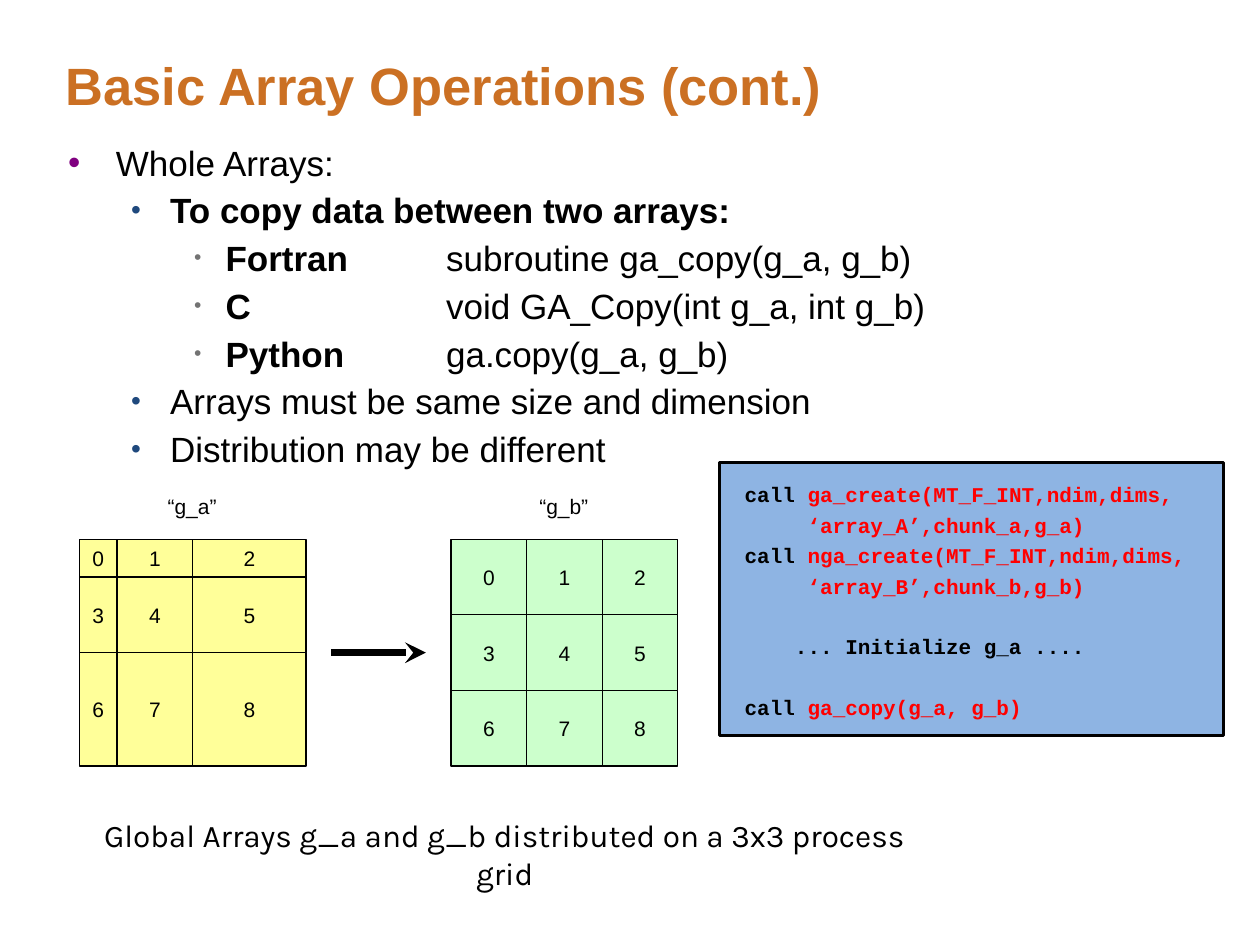
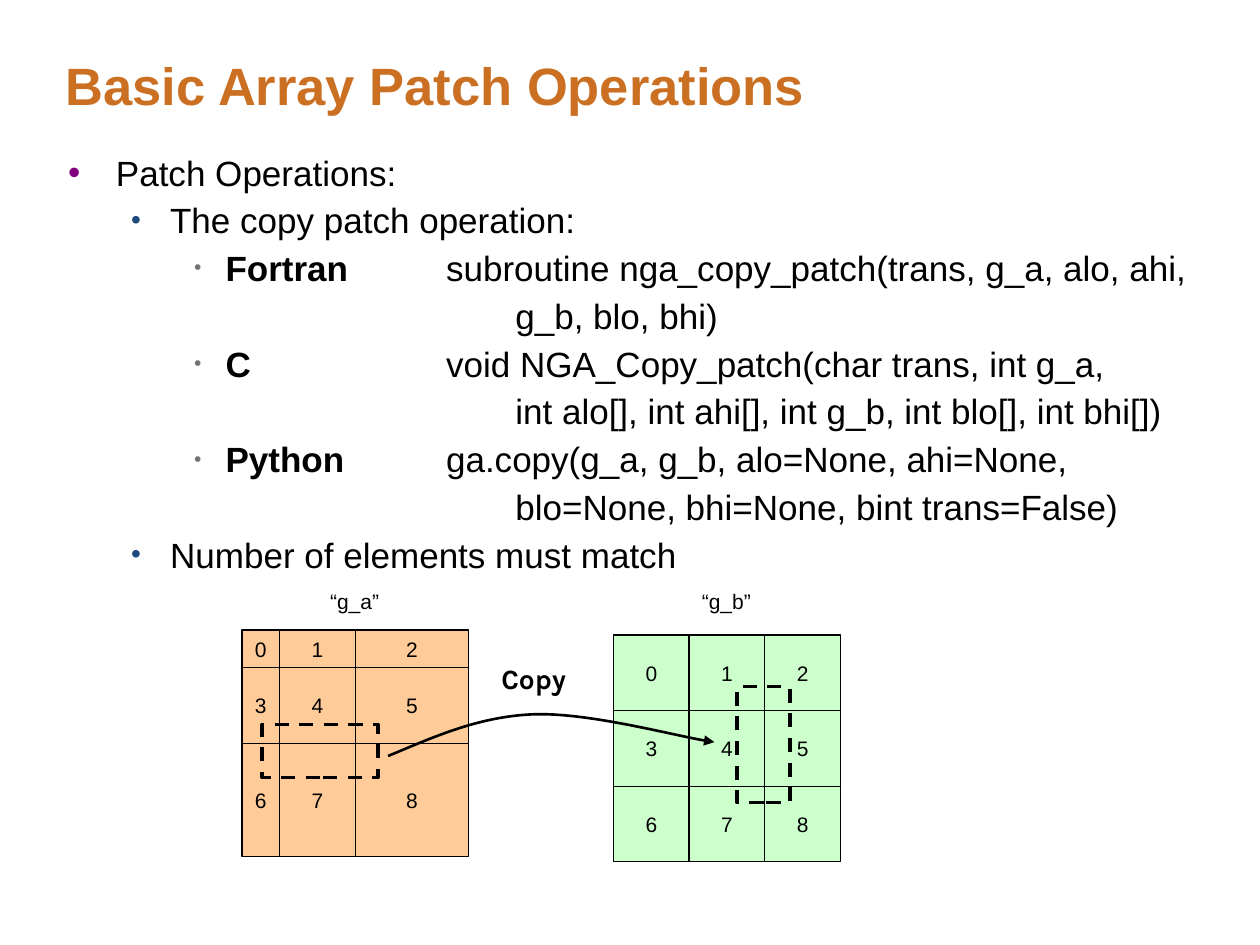
from lxml import etree
from pptx import Presentation
from pptx.dml.color import RGBColor
from pptx.enum.dml import MSO_LINE
from pptx.enum.shapes import MSO_CONNECTOR, MSO_SHAPE
from pptx.enum.text import MSO_ANCHOR, MSO_AUTO_SIZE, PP_ALIGN
from pptx.oxml.ns import qn
from pptx.util import Inches, Pt

RECTANGLE = MSO_SHAPE.RECTANGLE
STRAIGHT = MSO_CONNECTOR.STRAIGHT
DASH = MSO_LINE.DASH
CENTER, LEFT = PP_ALIGN.CENTER, PP_ALIGN.LEFT
TOP, MIDDLE = MSO_ANCHOR.TOP, MSO_ANCHOR.MIDDLE
NO_AUTOFIT = MSO_AUTO_SIZE.NONE

BLACK, RED, ORANGE = "000000", "FF0000", "CB7023"
YELLOW, GREEN, PEACH, BLUE = "FFFF99", "CCFFCC", "FFCC99", "8EB4E3"
TITLE_BOX = (0.52, 0.5, 8.97, 1.08)
CODE_INSETS = (0.2, 0.15, 0.2, 0.15)
LABEL_INSETS = (0.1, 0.05, 0.1, 0.05)
BULLETS = [
    (0.38, 0.38, "800080", 100),
    (0.81, 0.31, "1F497D", 80),
    (1.25, 0.25, "737373", 60),
]
SIGNATURE_TAB, CONTINUATION_INDENT = 3.0, 3.55
UNEVEN, EVEN = (0.3, 0.6, 0.9), (0.6, 0.6, 0.6)


def rgb(color):
    """Turn a hex string into a colour."""
    return RGBColor.from_string(color)


def inches(*lengths):
    """Convert several lengths in inches."""
    return [Inches(length) for length in lengths]


def add_run(paragraph, text, size, color=BLACK, bold=False, font="Arial"):
    """Append one formatted run."""
    run = paragraph.add_run()
    run.text = text
    run.font.name = font
    run.font.size = Pt(size)
    run.font.bold = bold
    run.font.color.rgb = rgb(color)


def set_frame(frame, insets=(0, 0, 0, 0), anchor=TOP, wrap=True):
    """Set the insets, anchor and wrapping of a text frame."""
    frame.margin_left, frame.margin_top, frame.margin_right, frame.margin_bottom = inches(*insets)
    frame.vertical_anchor = anchor
    frame.word_wrap = wrap
    frame.auto_size = NO_AUTOFIT


def next_paragraph(frame, index):
    """Return the first paragraph, or a new one after it."""
    return frame.add_paragraph() if index else frame.paragraphs[0]


def place(shape, box):
    """Move a placeholder to a box."""
    shape.left, shape.top, shape.width, shape.height = inches(*box)


def add_label(slide, box, text, size=12, font="Arial", bold=False, insets=LABEL_INSETS, wrap=True):
    """Add centred text in a box."""
    frame = slide.shapes.add_textbox(*inches(*box)).text_frame
    set_frame(frame, insets, wrap=wrap)
    frame.paragraphs[0].alignment = CENTER
    add_run(frame.paragraphs[0], text, size, bold=bold, font=font)


def add_box(shapes, box, fill=None, width=0.75):
    """Add a black-edged rectangle, filled or clear."""
    rectangle = shapes.add_shape(RECTANGLE, *inches(*box))
    rectangle.shadow.inherit = False
    if fill:
        rectangle.fill.solid()
        rectangle.fill.fore_color.rgb = rgb(fill)
    else:
        rectangle.fill.background()
    rectangle.line.color.rgb = rgb(BLACK)
    rectangle.line.width = Pt(width)
    return rectangle


def add_arrowhead(line, kind):
    """Put an arrowhead at the end of a line."""
    etree.SubElement(line.line._get_or_add_ln(), qn("a:tailEnd"), type=kind)


def set_bullet(paragraph, level, continued):
    """Set the indent, bullet and tab of a list level."""
    margin, hanging, color, percent = BULLETS[level]
    if continued:
        margin, hanging = CONTINUATION_INDENT, 0
    paragraph.level = level
    properties = paragraph._p.get_or_add_pPr()
    properties.set("marL", str(Inches(margin)))
    properties.set("indent", str(-Inches(hanging)))
    if continued:
        etree.SubElement(properties, qn("a:buNone"))
        return
    bullet_color = etree.SubElement(properties, qn("a:buClr"))
    etree.SubElement(bullet_color, qn("a:srgbClr"), val=color)
    etree.SubElement(properties, qn("a:buSzPct"), val=str(percent * 1000))
    etree.SubElement(properties, qn("a:buFont"), typeface="Arial")
    etree.SubElement(properties, qn("a:buChar"), char="•")
    if level == 2:
        tabs = etree.SubElement(properties, qn("a:tabLst"))
        etree.SubElement(tabs, qn("a:tab"), pos=str(Inches(SIGNATURE_TAB)), algn="l")


def fill_title(slide, text):
    """Write the slide title."""
    place(slide.shapes.title, TITLE_BOX)
    frame = slide.shapes.title.text_frame
    set_frame(frame)
    paragraph = frame.paragraphs[0]
    paragraph.alignment = LEFT
    paragraph.line_spacing = 0.85
    add_run(paragraph, text, 30, ORANGE, True)


def fill_body(slide, top, items):
    """Write the list from (level, bold text, plain text) items."""
    body = slide.placeholders[1]
    place(body, (0.54, top, 8.95, 3.91))
    set_frame(body.text_frame)
    for index, (level, strong, plain) in enumerate(items):
        paragraph = next_paragraph(body.text_frame, index)
        set_bullet(paragraph, level, level == 2 and not strong)
        paragraph.alignment = LEFT
        paragraph.line_spacing = 0.85
        paragraph.space_before = Pt(6.9 if index else 0)
        if strong:
            add_run(paragraph, strong, 20, bold=True)
        if plain:
            add_run(paragraph, plain, 20)


def add_array(slide, left, top, name, label_top, spans, fill, patch=None):
    """Draw a 3x3 process grid with its name and an optional dashed patch."""
    add_label(slide, (left + 0.56, label_top, 0.67, 0.3), name)
    grid = slide.shapes.add_group_shape().shapes
    for row, height in enumerate(spans):
        for column, width in enumerate(spans):
            cell_left, cell_top = left + sum(spans[:column]), top + sum(spans[:row])
            frame = add_box(grid, (cell_left, cell_top, width, height), fill).text_frame
            set_frame(frame, LABEL_INSETS, MIDDLE, False)
            frame.paragraphs[0].alignment = CENTER
            add_run(frame.paragraphs[0], str(3 * row + column), 12)
    if patch:
        across, down, width, height = patch
        add_box(grid, (left + across, top + down, width, height), width=2).line.dash_style = DASH


def add_code(slide, box, lines):
    """Draw the code panel from (gap before, black text, red text) lines."""
    frame = add_box(slide.shapes, box, BLUE, 1.5).text_frame
    set_frame(frame, CODE_INSETS)
    for index, (gap, keyword, call) in enumerate(lines):
        paragraph = next_paragraph(frame, index)
        paragraph.alignment = LEFT
        paragraph.space_before = Pt(gap)
        for text, color in ((keyword, BLACK), (call, RED)):
            if text:
                add_run(paragraph, text, 12, color, True, "Courier New")


def add_copy_arrow(slide, start, end):
    """Draw the straight arrow between the arrays."""
    arrow = slide.shapes.add_connector(STRAIGHT, *inches(*start, *end))
    arrow.line.color.rgb = rgb(BLACK)
    arrow.line.width = Pt(4)
    add_arrowhead(arrow, "stealth")
    etree.SubElement(arrow._element.spPr, qn("a:effectLst"))


def add_copy_curve(slide, left, top):
    """Draw the curved arrow between the patches."""
    points = [(0.36, 0.2), (0.71, 0.04), (1.14, 0.02), (1.57, 0), (2.35, 0.21), (2.59, 0.24)]
    builder = slide.shapes.build_freeform(*inches(left, top + 0.35))
    builder.add_line_segments([inches(left + x, top + y) for x, y in points], close=False)
    curve = builder.convert_to_shape()
    curve.shadow.inherit = False
    curve.fill.background()
    curve.line.color.rgb = rgb(BLACK)
    curve.line.width = Pt(1.5)
    add_arrowhead(curve, "triangle")
    outline = next(curve._element.iter(qn("a:path")))
    segments = outline.findall(qn("a:lnTo"))
    for first in range(0, len(segments), 3):
        bezier = etree.SubElement(outline, qn("a:cubicBezTo"))
        for segment in segments[first:first + 3]:
            bezier.append(segment[0])
            outline.remove(segment)


def build_whole_arrays(slide):
    """Build the slide on copying whole arrays."""
    fill_title(slide, "Basic Array Operations (cont.)")
    fill_body(slide, 1.17, [
        (0, "", "Whole Arrays:"),
        (1, "To copy data between two arrays:", ""),
        (2, "Fortran\t", "subroutine ga_copy(g_a, g_b)"),
        (2, "C\t", "void GA_Copy(int g_a, int g_b)"),
        (2, "Python\t", "ga.copy(g_a, g_b)"),
        (1, "", "Arrays must be same size and dimension"),
        (1, "", "Distribution may be different"),
    ])
    add_code(slide, (5.71, 3.67, 4, 2.17), [
        (0, "call ", "ga_create(MT_F_INT,ndim,dims,"),
        (3.2, "", "     ‘array_A’,chunk_a,g_a)"),
        (3.2, "call ", "nga_create(MT_F_INT,ndim,dims,"),
        (3.2, "", "     ‘array_B’,chunk_b,g_b)"),
        (20, "    ... Initialize g_a ....", ""),
        (20, "call ", "ga_copy(g_a, g_b)"),
    ])
    add_array(slide, 0.63, 4.28, "“g_a”", 3.87, UNEVEN, YELLOW)
    add_array(slide, 3.58, 4.28, "“g_b”", 3.87, EVEN, GREEN)
    add_copy_arrow(slide, (2.63, 5.18), (3.38, 5.18))
    add_label(slide, (0.49, 6.33, 7.03, 0.9),
              "Global Arrays g_a and g_b distributed on a 3x3 process grid",
              18, "Karla", insets=CODE_INSETS)


def build_patches(slide):
    """Build the slide on copying patches."""
    fill_title(slide, "Basic Array Patch Operations")
    fill_body(slide, 1.25, [
        (0, "", "Patch Operations:"),
        (1, "", "The copy patch operation:"),
        (2, "Fortran\t", "subroutine nga_copy_patch(trans, g_a, alo, ahi,"),
        (2, "", "g_b, blo, bhi)"),
        (2, "C\t", "void NGA_Copy_patch(char trans, int g_a,"),
        (2, "", "int alo[], int ahi[], int g_b, int blo[], int bhi[])"),
        (2, "Python\t", "ga.copy(g_a, g_b, alo=None, ahi=None,"),
        (2, "", "blo=None, bhi=None, bint trans=False)"),
        (1, "", "Number of elements must match"),
    ])
    add_array(slide, 4.87, 5.04, "“g_b”", 4.62, EVEN, GREEN, (0.98, 0.41, 0.42, 0.92))
    add_array(slide, 1.92, 5, "“g_a”", 4.62, UNEVEN, PEACH, (0.16, 0.75, 0.92, 0.42))
    add_copy_curve(slide, 3.08, 5.65)
    add_label(slide, (3.76, 5.1, 0.95, 0.57), "Copy", 16, "Karla", True, CODE_INSETS, False)


def main():
    """Build and save the presentation."""
    presentation = Presentation()
    presentation.slide_width, presentation.slide_height = inches(10, 7.5)
    for build in (build_whole_arrays, build_patches):
        build(presentation.slides.add_slide(presentation.slide_layouts[1]))
    presentation.save("out.pptx")


if __name__ == "__main__":
    main()
